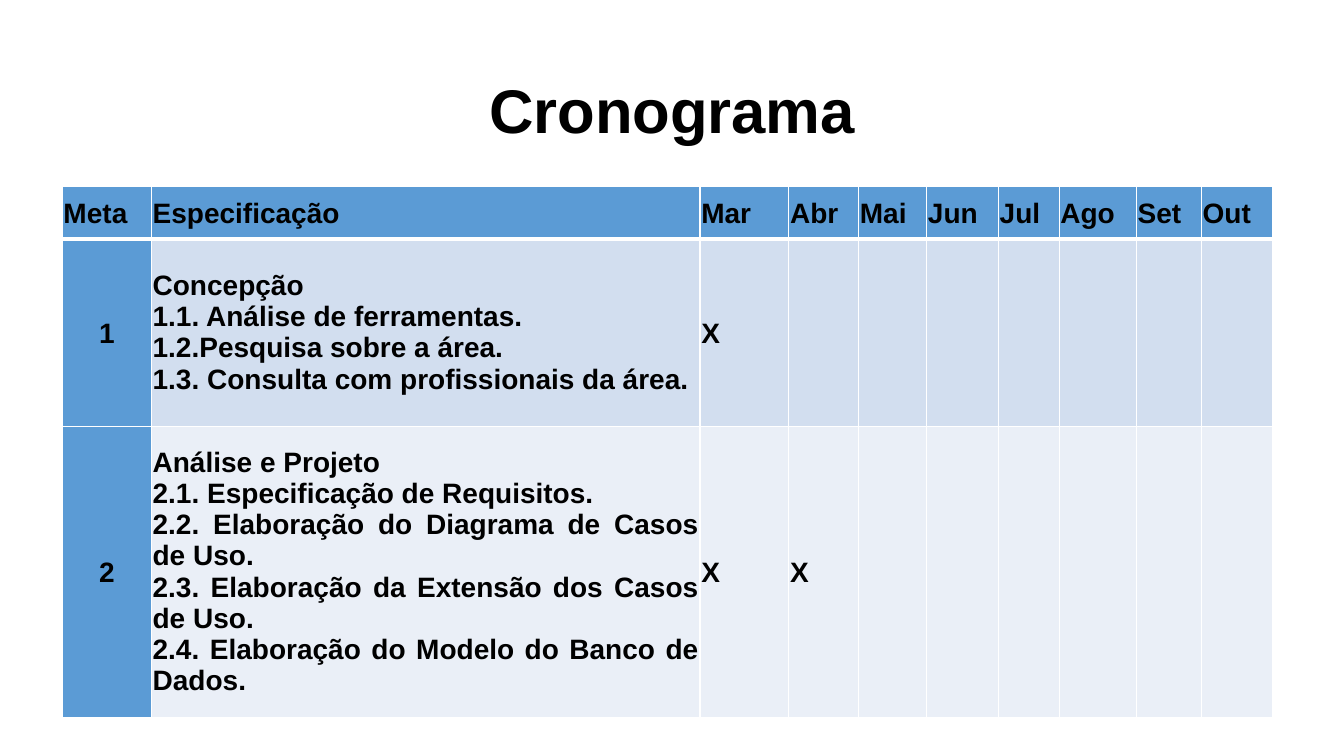
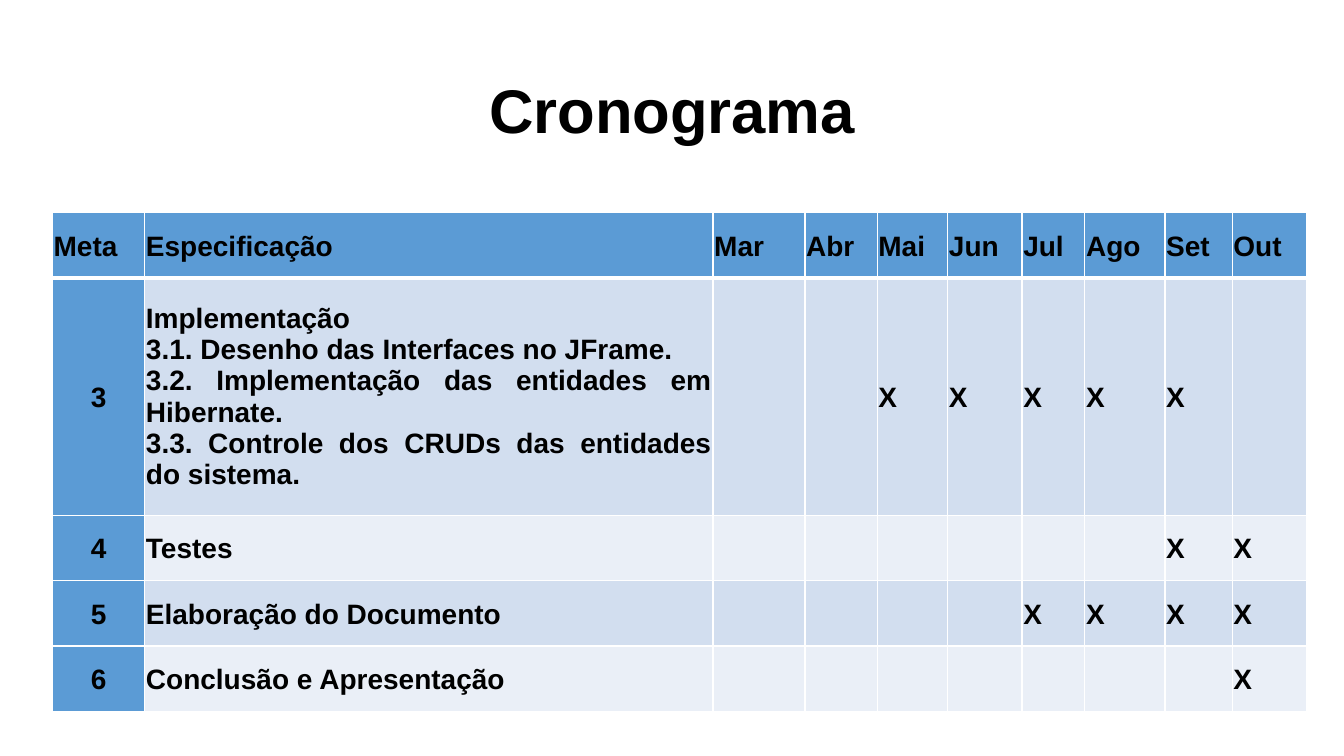
"""Build the two project schedule slides."""
from lxml.etree import SubElement
from pptx import Presentation
from pptx.dml.color import RGBColor
from pptx.enum.text import MSO_ANCHOR, PP_ALIGN
from pptx.oxml.ns import qn
from pptx.util import Cm, Pt

COLORS = {
    "text": "000000",
    "header": "5B9BD5",
    "odd": "D2DEEF",
    "even": "EAEFF7",
    "border": "FFFFFF",
}
FONT = "Arial"
MONTHS = ["Mar", "Abr", "Mai", "Jun", "Jul", "Ago", "Set", "Out"]
HEADINGS = ["Meta", "Especificação", *MONTHS]
COLUMN_WIDTHS = [2.25, 13.84, 2.24, 1.76, 1.72, 1.81, 1.53, 1.95, 1.64, 1.8]

SCHEDULES = [
    {
        "left": 1.57, "top": 4.7, "width": 30.51,
        "heights": [1.32, 4.72, 7.34],
        "goals": [
            ("1", ["Concepção",
                   "1.1. Análise de ferramentas.",
                   "1.2.Pesquisa sobre a área.",
                   "1.3. Consulta com profissionais da área."], ["Mar"]),
            ("2", ["Análise e Projeto",
                   "2.1. Especificação de Requisitos.",
                   "2.2. Elaboração do Diagrama de Casos de Uso.",
                   "2.3. Elaboração da Extensão dos Casos de Uso.",
                   "2.4. Elaboração do Modelo do Banco de Dados."], ["Mar", "Abr"]),
        ],
    },
    {
        "left": 1.32, "top": 5.36, "width": 31.6,
        "heights": [1.65, 5.97, 1.65, 1.65, 1.65],
        "goals": [
            ("3", ["Implementação",
                   "3.1. Desenho das Interfaces no JFrame.",
                   "3.2. Implementação das entidades em Hibernate.",
                   "3.3. Controle dos CRUDs das entidades do sistema."],
             ["Mai", "Jun", "Jul", "Ago", "Set"]),
            ("4", ["Testes"], ["Set", "Out"]),
            ("5", ["Elaboração do Documento"], ["Jul", "Ago", "Set", "Out"]),
            ("6", ["Conclusão e Apresentação"], ["Out"]),
        ],
    },
]


def add_run(paragraph, text, size):
    run = paragraph.add_run()
    run.text = text
    run.font.name = FONT
    run.font.size = Pt(size)
    run.font.bold = True
    run.font.color.rgb = RGBColor.from_string(COLORS["text"])


def add_title(slide, text):
    shape = slide.shapes.add_textbox(Cm(2.34), Cm(1.02), Cm(29.21), Cm(3.68))
    frame = shape.text_frame
    frame.word_wrap = True
    frame.vertical_anchor = MSO_ANCHOR.MIDDLE
    paragraph = frame.paragraphs[0]
    paragraph.alignment = PP_ALIGN.CENTER
    paragraph.line_spacing = 0.9
    add_run(paragraph, text, 44)


def set_borders(cell, row):
    widths = {"lnL": 1, "lnR": 1, "lnT": 3 if row == 1 else 1, "lnB": 3 if row == 0 else 1}
    properties = cell._tc.get_or_add_tcPr()
    for side, width in widths.items():
        line = SubElement(properties, qn(f"a:{side}"), w=str(Pt(width)))
        fill = SubElement(line, qn("a:solidFill"))
        SubElement(fill, qn("a:srgbClr"), val=COLORS["border"])


def write_cell(cell, lines, alignment):
    cell.vertical_anchor = MSO_ANCHOR.MIDDLE
    cell.margin_left = cell.margin_right = Cm(0.03)
    cell.margin_top = cell.margin_bottom = Cm(0.03)
    frame = cell.text_frame
    for index, text in enumerate(lines):
        paragraph = frame.add_paragraph() if index else frame.paragraphs[0]
        paragraph.alignment = alignment
        if len(lines) == 1:
            paragraph.line_spacing = 1.07
            paragraph.space_after = Pt(8)
        add_run(paragraph, text, 20)


def fill_row(table, row, contents):
    band = "odd" if row % 2 else "even"
    for column, lines in enumerate(contents):
        cell = table.cell(row, column)
        set_borders(cell, row)
        color = COLORS["header" if row == 0 or column == 0 else band]
        cell.fill.solid()
        cell.fill.fore_color.rgb = RGBColor.from_string(color)
        if lines:
            is_goal_number = row > 0 and column == 0
            write_cell(cell, lines, PP_ALIGN.CENTER if is_goal_number else PP_ALIGN.JUSTIFY)


def add_schedule(slide, schedule):
    heights, width = schedule["heights"], schedule["width"]
    table = slide.shapes.add_table(
        len(heights), len(HEADINGS), Cm(schedule["left"]), Cm(schedule["top"]),
        Cm(width), Cm(sum(heights))).table
    scale = width / sum(COLUMN_WIDTHS)
    for column, column_width in zip(table.columns, COLUMN_WIDTHS):
        column.width = Cm(column_width * scale)
    for row, height in zip(table.rows, heights):
        row.height = Cm(height)
    fill_row(table, 0, [[heading] for heading in HEADINGS])
    for row, (number, lines, active) in enumerate(schedule["goals"], start=1):
        marks = [["X"] if month in active else [] for month in MONTHS]
        fill_row(table, row, [[number], lines, *marks])


def main():
    presentation = Presentation()
    presentation.slide_width = Cm(33.87)
    presentation.slide_height = Cm(19.05)
    for schedule in SCHEDULES:
        slide = presentation.slides.add_slide(presentation.slide_layouts[6])
        add_title(slide, "Cronograma")
        add_schedule(slide, schedule)
    presentation.save("out.pptx")


if __name__ == "__main__":
    main()
